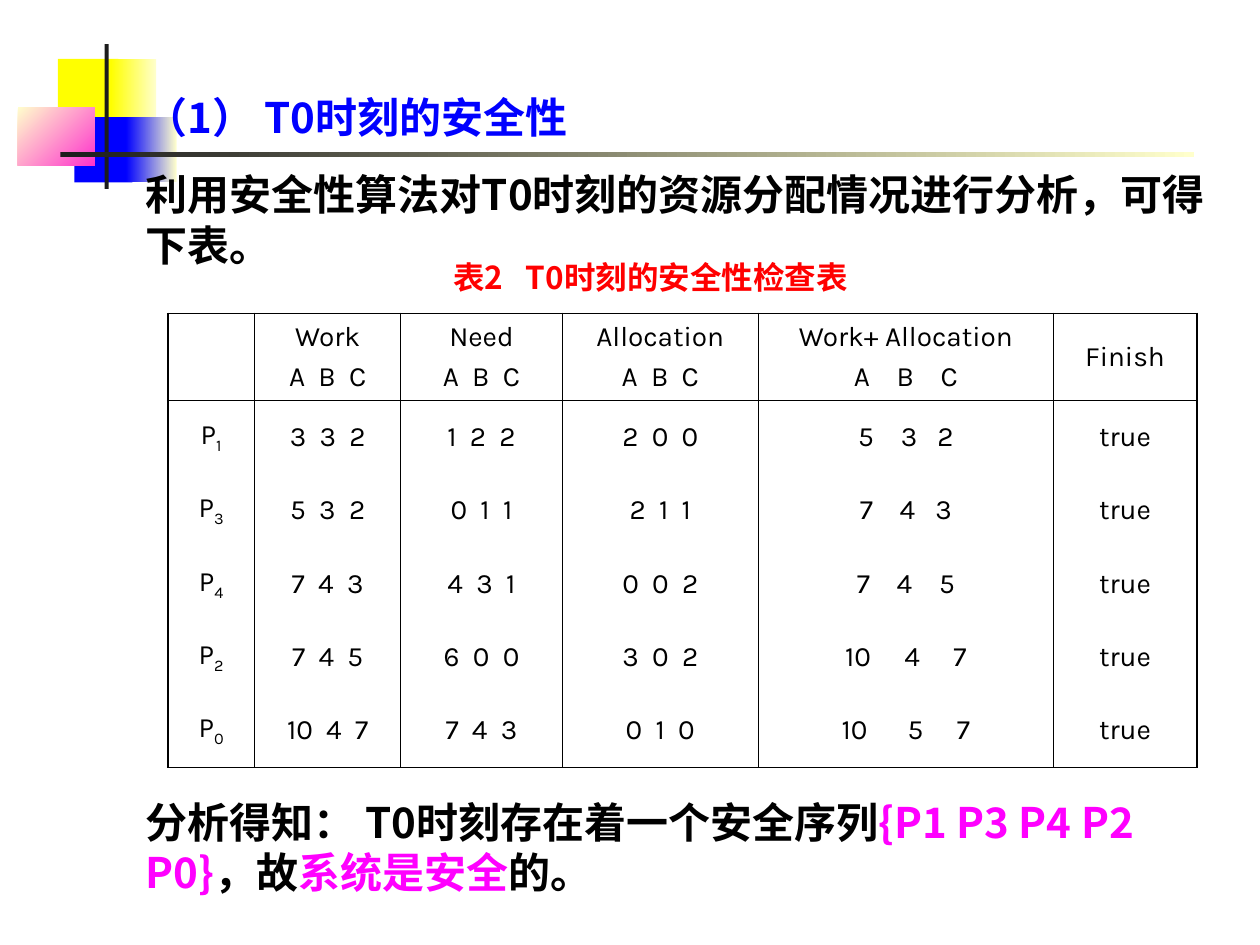
from dataclasses import dataclass

from lxml.etree import SubElement
from pptx import Presentation
from pptx.dml.color import RGBColor
from pptx.enum.shapes import MSO_SHAPE
from pptx.enum.text import MSO_ANCHOR, MSO_AUTO_SIZE, PP_ALIGN
from pptx.oxml.ns import qn
from pptx.util import Cm, Pt


@dataclass(frozen=True)
class Theme:
    black: str = "000000"
    blue: str = "0000FF"
    red: str = "FF0000"
    magenta: str = "FF00FF"
    yellow: str = "FFFF00"
    cream: str = "FFFFCC"
    pink: str = "FF33CC"
    charcoal: str = "1C1C1C"
    text_font: str = "Noto Sans CJK SC"
    table_font: str = "Karla"
    body_size: float = 24
    caption_size: float = 18
    table_size: float = 16
    space_width: float = 0.24  # of the type size
    outer_line: float = 1.08
    inner_line: float = 0.45


THEME = Theme()

COLUMN_WIDTHS = (1.75, 2.95, 3.25, 3.96, 5.94, 2.9)
HEADER_HEIGHT, ROW_HEIGHT = 1.75, 1.48
HEADERS = ("", "Work", "Need", "Allocation", "Work+ Allocation", "Finish")
VECTOR_GAPS = (2, 2)
HEADER_SUM_GAPS = (4, 4)
# Process, Work, Need, Allocation, Work + Allocation, gaps in the last vector
SAFETY_ROWS = (
    ("1", "3 3 2", "1 2 2", "2 0 0", "5 3 2", (4, 3)),
    ("3", "5 3 2", "0 1 1", "2 1 1", "7 4 3", (4, 3)),
    ("4", "7 4 3", "4 3 1", "0 0 2", "7 4 5", (4, 4)),
    ("2", "7 4 5", "6 0 0", "3 0 2", "10 4 7", (5, 5)),
    ("0", "10 4 7", "7 4 3", "0 1 0", "10 5 7", (6, 5)),
)


def add_run(paragraph, text, size, font, color=THEME.black, bold=False):
    run = paragraph.add_run()
    run.text = text
    run.font.size = Pt(size)
    run.font.name = font
    run.font.bold = bold
    run.font.color.rgb = RGBColor.from_string(color)
    properties = run.font._element
    SubElement(properties, qn("a:ea")).set("typeface", font)
    return properties


def add_gap(paragraph, width, size, font, **style):
    """Add one space, tracked out to the width of several."""
    properties = add_run(paragraph, " ", size, font, **style)
    properties.set("spc", str(round((width - 1) * THEME.space_width * size * 100)))


def add_block(slide, left, top, width, height, colors, angle=0):
    """Add a rectangle, plain for one colour and graded for two."""
    shape = slide.shapes.add_shape(
        MSO_SHAPE.RECTANGLE, Cm(left), Cm(top), Cm(width), Cm(height))
    shape.shadow.inherit = False
    shape.line.fill.background()
    if len(colors) == 1:
        shape.fill.solid()
        shape.fill.fore_color.rgb = RGBColor.from_string(colors[0])
        return
    shape.fill.gradient()
    shape.fill.gradient_angle = angle
    for stop, color in zip(shape.fill.gradient_stops, colors):
        stop.color.rgb = RGBColor.from_string(color)


def add_title_ornament(slide, left, top):
    blocks = (
        (0.81, 0.3, 1.22, 1.32, (THEME.yellow,)),
        (1.88, 0.3, 0.91, 1.32, (THEME.yellow, THEME.cream)),
        (1.14, 1.47, 1.17, 1.32, (THEME.blue,)),
        (2.18, 1.47, 1.02, 1.32, (THEME.blue, THEME.cream)),
        (0, 1.27, 1.55, 1.17, (THEME.cream, THEME.pink), 315),
        (1.75, 0, 0.08, 2.92, (THEME.charcoal,)),
        (0.86, 2.18, 22.86, 0.1, (THEME.charcoal, THEME.cream)),
    )
    for x, y, *rest in blocks:
        add_block(slide, left + x, top + y, *rest)


def add_text(slide, left, top, width, height, paragraphs):
    """Add bold body text; each paragraph is a list of (text, colour)."""
    box = slide.shapes.add_textbox(Cm(left), Cm(top), Cm(width), Cm(height))
    frame = box.text_frame
    frame.word_wrap = True
    frame.auto_size = MSO_AUTO_SIZE.SHAPE_TO_FIT_TEXT
    for index, segments in enumerate(paragraphs):
        paragraph = frame.add_paragraph() if index else frame.paragraphs[0]
        paragraph.space_before = Pt(15)
        for text, color in segments:
            add_run(paragraph, text, THEME.body_size, THEME.text_font, color, True)


def add_caption(slide, left, top, width, height):
    box = slide.shapes.add_textbox(Cm(left), Cm(top), Cm(width), Cm(height))
    box.text_frame.word_wrap = True
    box.text_frame.auto_size = MSO_AUTO_SIZE.SHAPE_TO_FIT_TEXT
    paragraph = box.text_frame.paragraphs[0]
    paragraph.space_before = Pt(11.2)
    style = dict(size=THEME.caption_size, font=THEME.text_font,
                 color=THEME.red, bold=True)
    add_run(paragraph, "表2", **style)
    add_gap(paragraph, 3, **style)
    add_run(paragraph, "T0时刻的安全性检查表", **style)


def set_borders(cell, widths):
    """Draw the left, right, top and bottom edges; a zero width hides one."""
    properties = cell._tc.get_or_add_tcPr()
    for side, width in zip("LRTB", widths):
        line = SubElement(properties, qn(f"a:ln{side}"), w=str(Pt(width)))
        if width:
            fill = SubElement(line, qn("a:solidFill"))
            SubElement(fill, qn("a:srgbClr"), val=THEME.black)
        else:
            SubElement(line, qn("a:noFill"))


def write_vector(paragraph, text, gaps):
    style = dict(size=THEME.table_size, font=THEME.table_font)
    first, *others = text.split()
    add_run(paragraph, first, **style)
    for gap, value in zip(gaps, others):
        add_gap(paragraph, gap, **style)
        add_run(paragraph, value, **style)


def center_paragraph(paragraph):
    paragraph.alignment = PP_ALIGN.CENTER
    paragraph.space_before = Pt(4)
    return paragraph


def fill_header(table):
    for column, title in enumerate(HEADERS):
        if not title:
            continue
        frame = table.cell(0, column).text_frame
        add_run(center_paragraph(frame.paragraphs[0]), title,
                THEME.table_size, THEME.table_font)
        if title != "Finish":
            gaps = HEADER_SUM_GAPS if "+" in title else VECTOR_GAPS
            write_vector(center_paragraph(frame.add_paragraph()), "A B C", gaps)


def fill_row(table, row, process, *vectors, sum_gaps):
    name, *middle, finish = (
        center_paragraph(table.cell(row, column).text_frame.paragraphs[0])
        for column in range(len(HEADERS)))
    add_run(name, "P", THEME.table_size, THEME.table_font)
    add_run(name, process, THEME.table_size, THEME.table_font).set("baseline", "-25000")
    all_gaps = [VECTOR_GAPS] * 3 + [sum_gaps]
    for paragraph, vector, gaps in zip(middle, vectors, all_gaps):
        write_vector(paragraph, vector, gaps)
    add_run(finish, "true", THEME.table_size, THEME.table_font)


def add_safety_table(slide, left, top):
    heights = [HEADER_HEIGHT] + [ROW_HEIGHT] * len(SAFETY_ROWS)
    table = slide.shapes.add_table(
        len(heights), len(COLUMN_WIDTHS), Cm(left), Cm(top),
        Cm(sum(COLUMN_WIDTHS)), Cm(sum(heights))).table
    table.first_row = table.horz_banding = False
    for column, width in zip(table.columns, COLUMN_WIDTHS):
        column.width = Cm(width)
    for row, height in zip(table.rows, heights):
        row.height = Cm(height)

    outer, inner = THEME.outer_line, THEME.inner_line
    last_row, last_column = len(heights) - 1, len(COLUMN_WIDTHS) - 1
    for row in range(last_row + 1):
        above = {0: outer, 1: inner}.get(row, 0)
        below = {0: inner, last_row: outer}.get(row, 0)
        for column in range(last_column + 1):
            cell = table.cell(row, column)
            cell.vertical_anchor = MSO_ANCHOR.MIDDLE
            set_borders(cell, (inner if column else outer,
                               outer if column == last_column else inner,
                               above, below))
            cell.fill.background()

    fill_header(table)
    for row, (*values, sum_gaps) in enumerate(SAFETY_ROWS, start=1):
        fill_row(table, row, *values, sum_gaps=sum_gaps)


def main():
    presentation = Presentation()
    presentation.slide_width, presentation.slide_height = Cm(25.4), Cm(19.05)
    slide = presentation.slides.add_slide(presentation.slide_layouts[6])
    add_title_ornament(slide, 0.36, 0.89)
    add_safety_table(slide, 3.38, 6.32)
    add_text(slide, 2.69, 1.73, 22, 3.84, [
        [("（1） T0时刻的安全性", THEME.blue)],
        [("利用安全性算法对T0时刻的资源分配情况进行分析，可得下表。", THEME.black)]])
    add_text(slide, 2.69, 15.93, 21.34, 2.29, [[
        ("分析得知： T0时刻存在着一个安全序列", THEME.black),
        ("{P1 P3 P4 P2 P0}", THEME.magenta), ("，故", THEME.black),
        ("系统是安全", THEME.magenta), ("的。", THEME.black)]])
    add_caption(slide, 8.89, 5.08, 9.96, 1.02)
    presentation.save("out.pptx")


if __name__ == "__main__":
    main()
